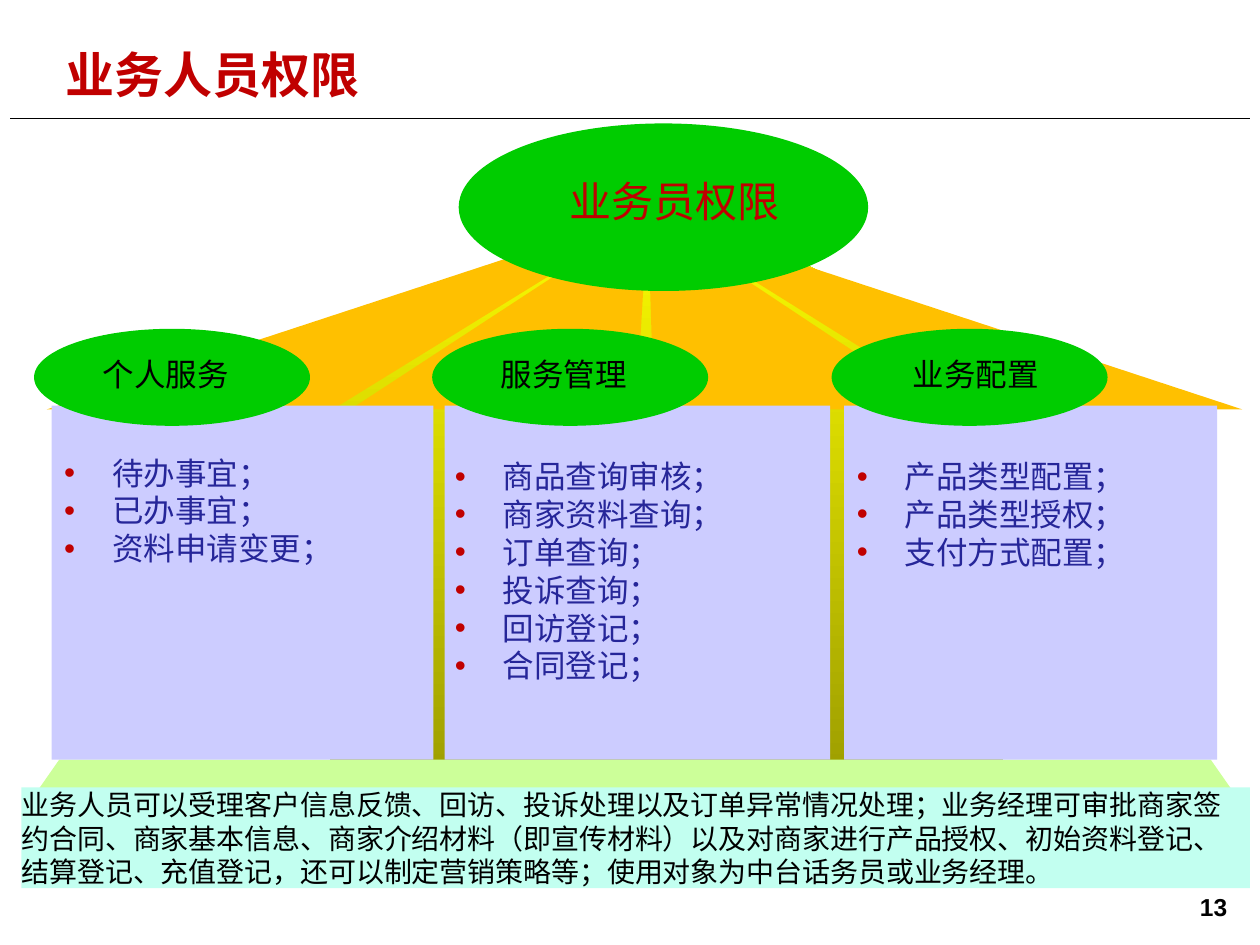
from dataclasses import dataclass

from lxml.etree import SubElement
from pptx import Presentation
from pptx.dml.color import RGBColor
from pptx.enum.shapes import MSO_CONNECTOR, MSO_SHAPE
from pptx.enum.text import MSO_ANCHOR, MSO_AUTO_SIZE, PP_ALIGN
from pptx.oxml.ns import qn
from pptx.util import Pt

PX = 9144  # 100 px to the inch
CJK = "Noto Sans CJK SC"
GREEN, ORANGE, PANEL = "00CC00", "FFC000", "CCCCFF"
RED, NAVY, BLACK = "C00000", "262699", "000000"
PANEL_TOP, PANEL_HEIGHT = 322, 281
INDENT = 38


@dataclass
class Column:
    heading: str
    items: list[str]
    panel_left: int
    panel_width: int
    oval_left: int
    label_left: int
    list_box: tuple[int, int, int, int]


@dataclass
class Style:
    size: int
    color: str = BLACK
    font: str = CJK
    bold: bool = False
    align: PP_ALIGN = PP_ALIGN.LEFT
    spacing: float = 1.2


COLUMNS = [
    Column("个人服务", ["待办事宜；", "已办事宜；", "资料申请变更；"],
           41, 303, 27, 27, (51, 360, 217, 90)),
    Column("服务管理", ["商品查询审核；", "商家资料查询；", "订单查询；", "投诉查询；",
                    "回访登记；", "合同登记；"],
           353, 306, 343, 343, (361, 363, 268, 180)),
    Column("业务配置", ["产品类型配置；", "产品类型授权；", "支付方式配置；"],
           670, 296, 660, 670, (680, 363, 265, 90)),
]
SUMMARY = (
    "业务人员可以受理客户信息反馈、回访、投诉处理以及订单异常情况处理；"
    "业务经理可审批商家签约合同、商家基本信息、商家介绍材料（即宣传材料）"
    "以及对商家进行产品授权、初始资料登记、结算登记、充值登记，"
    "还可以制定营销策略等；使用对象为中台话务员或业务经理。"
)
BACKDROP = [(269, 608), (796, 608), (796, 282), (528, 159), (262, 282), (262, 608)]
RAYS = [(37, 325), (512, 169), (986, 325), (762, 325), (512, 169), (747, 325),
        (519, 325), (514, 169), (505, 325), (278, 325), (512, 172), (264, 325)]
BASE = [(17, 646), (47, 603), (961, 603), (991, 646)]


def rgb(color: str) -> RGBColor:
    return RGBColor.from_string(color)


def emu(*lengths: int) -> list[int]:
    return [length * PX for length in lengths]


def write(shape, lines: list[str], style: Style, inset: tuple[int, int] = (0, 0),
          anchor: MSO_ANCHOR = MSO_ANCHOR.TOP) -> None:
    frame = shape.text_frame
    frame.text = "\n".join(lines)
    frame.word_wrap = True
    frame.auto_size = MSO_AUTO_SIZE.NONE
    frame.vertical_anchor = anchor
    frame.margin_left = frame.margin_right = inset[0] * PX
    frame.margin_top = frame.margin_bottom = inset[1] * PX
    for paragraph in frame.paragraphs:
        paragraph.alignment = style.align
        paragraph.line_spacing = Pt(style.size * style.spacing)
        paragraph.space_before = Pt(0)
        for span in paragraph.runs:
            span.font.size = Pt(style.size)
            span.font.bold = style.bold
            span.font.name = style.font
            span.font.color.rgb = rgb(style.color)
            SubElement(span.font._element, qn("a:ea"), typeface=style.font)


def add_bullets(shape) -> None:
    for paragraph in shape.text_frame.paragraphs:
        properties = paragraph._p.get_or_add_pPr()
        properties.set("marL", str(INDENT * PX))
        properties.set("indent", str(-INDENT * PX))
        color = SubElement(properties, qn("a:buClr"))
        SubElement(color, qn("a:srgbClr"), val=RED)
        SubElement(properties, qn("a:buFont"), typeface="Arial")
        SubElement(properties, qn("a:buChar"), char="•")


def place(shape, left: int, top: int, width: int, height: int) -> None:
    shape.left, shape.top, shape.width, shape.height = emu(left, top, width, height)


def bring_to_front(page, shape) -> None:
    page.shapes._spTree.append(shape._element)


def add_block(page, kind: MSO_SHAPE, left: int, top: int, width: int, height: int,
              color: str):
    shape = page.shapes.add_shape(kind, *emu(left, top, width, height))
    shape.shadow.inherit = False
    shape.fill.solid()
    shape.fill.fore_color.rgb = rgb(color)
    shape.line.fill.background()
    return shape


def add_polygon(page, points: list[tuple[int, int]], color: str):
    builder = page.shapes.build_freeform(*points[0], scale=PX)
    builder.add_line_segments(points[1:], close=True)
    shape = builder.convert_to_shape()
    shape.shadow.inherit = False
    shape.fill.solid()
    shape.fill.fore_color.rgb = rgb(color)
    shape.line.fill.background()
    return shape


def add_text(page, left: int, top: int, width: int, height: int, text: str,
             style: Style, anchor: MSO_ANCHOR = MSO_ANCHOR.TOP) -> None:
    box = page.shapes.add_textbox(*emu(left, top, width, height))
    write(box, [text], style, anchor=anchor)


def add_rule(page, left: int, right: int, top: int) -> None:
    rule = page.shapes.add_connector(MSO_CONNECTOR.STRAIGHT, *emu(left, top, right, top))
    rule.line.color.rgb = rgb(BLACK)
    rule.line.width = Pt(0.75)
    SubElement(rule._element.spPr, qn("a:effectLst"))


def add_heading(page, column: Column) -> None:
    add_block(page, MSO_SHAPE.OVAL, column.oval_left, 261, 219, 77, GREEN)
    add_text(page, column.label_left, 282, 209, 30, column.heading,
             Style(18, align=PP_ALIGN.CENTER))


def main() -> None:
    deck = Presentation()
    deck.slide_width, deck.slide_height = emu(1000, 750)
    page = deck.slides.add_slide(deck.slide_layouts.get_by_name("Comparison"))
    title, *bodies = [box for box in page.placeholders
                      if box.placeholder_format.idx < 10]
    unused = bodies.pop()
    unused._element.getparent().remove(unused._element)

    add_text(page, 900, 708, 74, 23, "13",
             Style(14, font="Arial", bold=True, align=PP_ALIGN.RIGHT))
    add_rule(page, 8, 992, 94)
    place(title, 42, 30, 658, 54)
    write(title, ["业务人员权限"], Style(28, RED, bold=True), inset=(10, 5))

    backdrop = add_polygon(page, BACKDROP, "FFFF00")
    backdrop.fill.gradient()
    backdrop.fill.gradient_angle = 90
    for stop, color in zip(backdrop.fill.gradient_stops, ("A0A000", "FFFF00")):
        stop.color.rgb = rgb(color)
    add_polygon(page, RAYS, ORANGE)
    add_polygon(page, BASE, "CCFF99")
    for column in COLUMNS:
        add_block(page, MSO_SHAPE.RECTANGLE, column.panel_left, PANEL_TOP,
                  column.panel_width, PANEL_HEIGHT, PANEL)

    add_block(page, MSO_SHAPE.OVAL, 364, 98, 325, 133, GREEN)
    add_text(page, 384, 139, 302, 40, "业务员权限",
             Style(24, RED, align=PP_ALIGN.CENTER), MSO_ANCHOR.MIDDLE)
    summary = add_block(page, MSO_SHAPE.RECTANGLE, 17, 625, 975, 80, "C2FFF0")
    write(summary, [SUMMARY], Style(16))

    for column, body in zip(COLUMNS, bodies):
        add_heading(page, column)
        place(body, *column.list_box)
        write(body, column.items, Style(18, NAVY))
        add_bullets(body)
        bring_to_front(page, body)
    deck.save("out.pptx")


if __name__ == "__main__":
    main()
